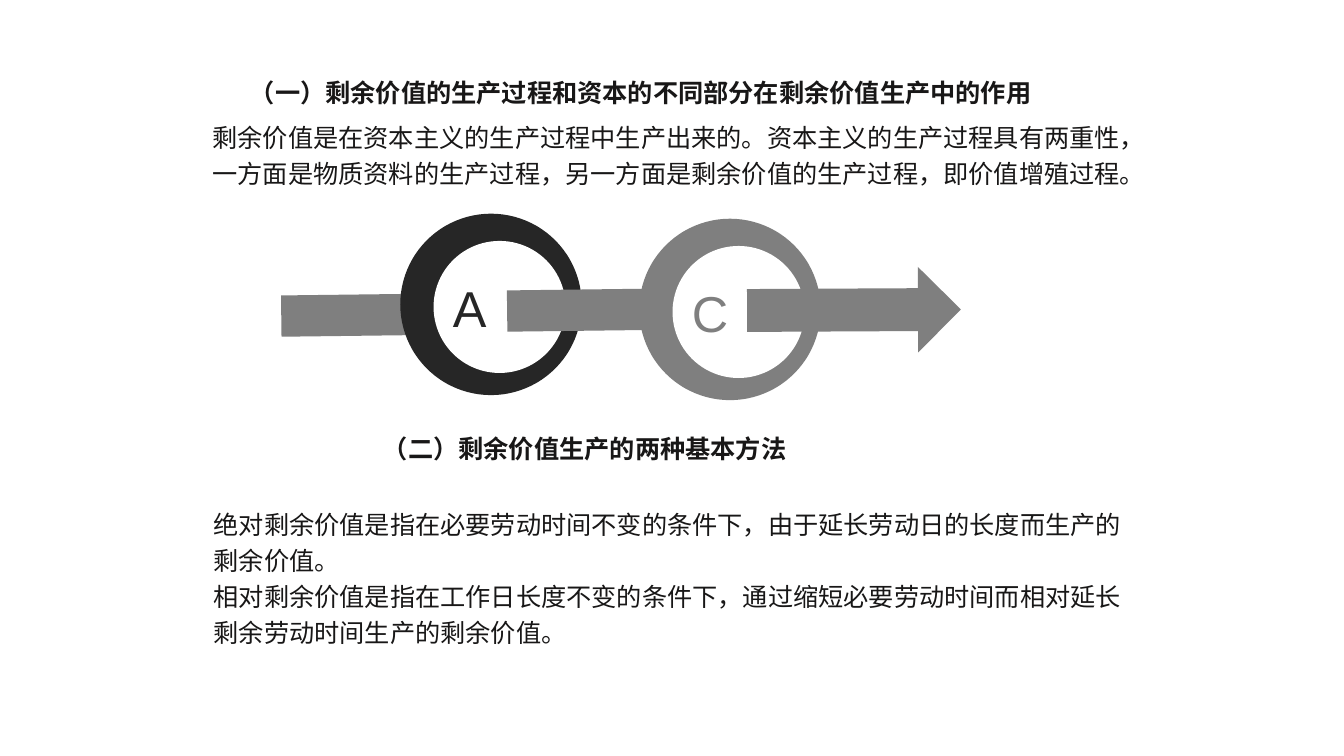
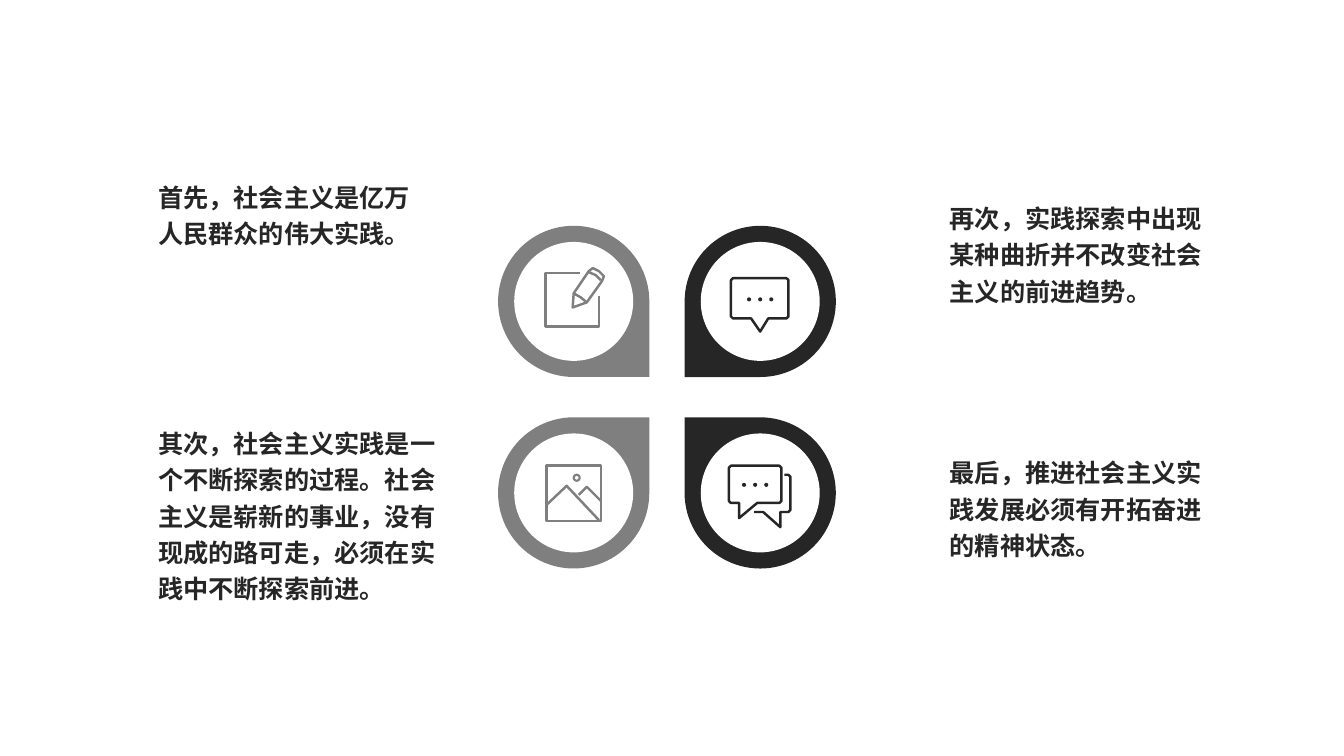
from lxml import etree
from pptx import Presentation
from pptx.dml.color import RGBColor
from pptx.enum.shapes import MSO_SHAPE
from pptx.enum.text import MSO_ANCHOR, PP_ALIGN
from pptx.oxml.ns import qn
from pptx.util import Inches, Pt

RECTANGLE, OVAL = MSO_SHAPE.RECTANGLE, MSO_SHAPE.OVAL
TEARDROP, RIGHT_ARROW = MSO_SHAPE.TEAR, MSO_SHAPE.RIGHT_ARROW
MIDDLE, LEFT = MSO_ANCHOR.MIDDLE, PP_ALIGN.LEFT

COLORS = {"gray": "7F7F7F", "dark": "262626", "ink": "181717", "white": "FFFFFF"}
CHINESE_FONT = "Noto Sans CJK SC"
LINE_SPACING = 1.2
BODY = {"size": Pt(18), "name": CHINESE_FONT, "bold": False}
HEADING = {**BODY, "bold": True}
POINT = {"size": Pt(18), "name": "Arial", "bold": True}
LETTER = {"size": Pt(36), "name": "Arial", "bold": False}

DROP_SIZE, DISC_SIZE = 1.5, 1.18
DROP_LEFTS, DROP_TOPS = (4.94, 6.79), (2.24, 4.14)
DOT_RADIUS, DOT_PITCH = 0.02, 0.11

# Icon strokes are (closed, points), in inches from the drop's top left corner.
PENCIL_STROKES = [
    (False, [(0.81, 0.47), (0.47, 0.47), (0.47, 1), (1, 1), (1, 0.7)]),
    (True, [(0.74, 0.81), (0.75, 0.67), (0.9, 0.45), (0.94, 0.42), (1, 0.45),
            (1.05, 0.5), (1.03, 0.55), (0.88, 0.76)]),
    (False, [(0.75, 0.67), (0.82, 0.71), (0.88, 0.76)]),
    (False, [(0.9, 0.46), (0.97, 0.49), (1.02, 0.54)]),
]
PICTURE_STROKES = [
    (True, [(0.48, 0.48), (1.02, 0.48), (1.02, 1.03), (0.48, 1.03)]),
    (False, [(0.48, 0.87), (0.68, 0.68), (1, 1.02)]),
    (False, [(0.8, 0.77), (0.88, 0.69), (1.02, 0.83)]),
]
BUBBLE_STROKES = [
    (True, [(0.48, 0.52), (1.01, 0.52), (1.03, 0.54), (1.03, 0.9), (1.01, 0.92),
            (0.83, 0.92), (0.75, 1.05), (0.66, 0.92), (0.48, 0.92),
            (0.46, 0.9), (0.46, 0.54)]),
]
CHAT_STROKES = [
    (True, [(0.46, 0.48), (0.94, 0.48), (0.96, 0.5), (0.96, 0.83), (0.94, 0.85),
            (0.72, 0.85), (0.54, 1), (0.54, 0.85), (0.46, 0.85),
            (0.44, 0.83), (0.44, 0.5)]),
    (False, [(0.99, 0.57), (1.03, 0.57), (1.05, 0.59), (1.05, 0.92), (1.03, 0.94),
             (0.95, 0.94), (0.95, 1.09), (0.78, 0.94), (0.69, 0.94)]),
]


def color(name):
    return RGBColor.from_string(COLORS[name])


def add_filled(slide, kind, left, top, width, height, fill, rotation=0):
    shape = slide.shapes.add_shape(
        kind, Inches(left), Inches(top), Inches(width), Inches(height))
    shape.shadow.inherit = False
    shape.fill.solid()
    shape.fill.fore_color.rgb = color(fill)
    shape.line.fill.background()
    shape.rotation = rotation
    return shape


def add_span(para, text, text_color, style):
    """Add a run whose Chinese characters use the Chinese font."""
    span = para.add_run()
    span.text = text
    for attribute, value in style.items():
        setattr(span.font, attribute, value)
    span.font.color.rgb = color(text_color)
    east_asian = etree.SubElement(span.font._element, qn("a:ea"))
    east_asian.set("typeface", CHINESE_FONT)


def add_text(slide, left, top, width, height, texts, text_color, style, spacing=LINE_SPACING):
    box = slide.shapes.add_textbox(
        Inches(left), Inches(top), Inches(width), Inches(height))
    frame = box.text_frame
    frame.word_wrap = True
    for index, text in enumerate(texts):
        para = frame.add_paragraph() if index else frame.paragraphs[0]
        para.line_spacing = spacing
        add_span(para, text, text_color, style)


def add_ring(slide, left, top, ring_color, letter):
    """Add a thick off-centre ring with a letter in its white opening."""
    add_filled(slide, OVAL, left, top, 1.8, 1.8, ring_color)
    opening = add_filled(slide, OVAL, left + 0.33, top + 0.27, 1.31, 1.31, "white")
    frame = opening.text_frame
    margins = {"margin_left": 0, "margin_top": 0,
               "margin_right": Inches(0.12), "margin_bottom": 0}
    for attribute, value in margins.items():
        setattr(frame, attribute, value)
    frame.vertical_anchor = MIDDLE
    para = frame.paragraphs[0]
    para.alignment = LEFT
    add_span(para, letter, ring_color, LETTER)


def add_stroke(slide, left, top, closed, points, line_color):
    corners = [(Inches(left + x), Inches(top + y)) for x, y in points]
    builder = slide.shapes.build_freeform(*corners[0])
    builder.add_line_segments(corners[1:], close=closed)
    stroke = builder.convert_to_shape()
    stroke.shadow.inherit = False
    stroke.fill.background()
    stroke.line.color.rgb = color(line_color)
    stroke.line.width = Pt(1.75)


def add_dot(slide, center_x, center_y, radius, fill):
    return add_filled(slide, OVAL, center_x - radius, center_y - radius,
                      2 * radius, 2 * radius, fill)


def add_drop(slide, left, top, drop_color, rotation, strokes):
    add_filled(slide, TEARDROP, left, top, DROP_SIZE, DROP_SIZE, drop_color, rotation)
    inset = (DROP_SIZE - DISC_SIZE) / 2
    add_filled(slide, OVAL, left + inset, top + inset, DISC_SIZE, DISC_SIZE, "white")
    for closed, points in strokes:
        add_stroke(slide, left, top, closed, points, drop_color)


def add_speech_dots(slide, center_x, center_y):
    for step in (-1, 0, 1):
        add_dot(slide, center_x + step * DOT_PITCH, center_y, DOT_RADIUS, "dark")


def build_surplus_value(slide):
    rings = [(2.79, 2.92, 3.97, 2.12, "dark", "A"),
             (5.03, 2.87, 6.34, 2.17, "gray", "C")]
    for bar_left, bar_top, ring_left, ring_top, ring_color, letter in rings:
        add_filled(slide, RECTANGLE, bar_left, bar_top, 1.8, 0.41, "gray", 359.3)
        add_ring(slide, ring_left, ring_top, ring_color, letter)
    add_filled(slide, RIGHT_ARROW, 7.41, 2.65, 2.12, 0.85, "gray", 359.7)

    add_text(slide, 2.01, 1.1, 9.23, 1.32, [
        "剩余价值是在资本主义的生产过程中生产出来的。资本主义的生产过程具有两重性，"
        "一方面是物质资料的生产过程，另一方面是剩余价值的生产过程，即价值增殖过程。",
    ], "ink", BODY)
    add_text(slide, 2.02, 4.94, 9.29, 1.63, [
        "绝对剩余价值是指在必要劳动时间不变的条件下，由于延长劳动日的长度而生产的剩余价值。",
        "相对剩余价值是指在工作日长度不变的条件下，通过缩短必要劳动时间而相对延长"
        "剩余劳动时间生产的剩余价值。",
    ], "ink", BODY)
    headings = [
        (2.38, 0.72, 9.06, "（一）剩余价值的生产过程和资本的不同部分在剩余价值生产中的作用"),
        (3.7, 4.25, 4.96, "（二）剩余价值生产的两种基本方法"),
    ]
    for left, top, width, text in headings:
        add_text(slide, left, top, width, 0.38, [text], "ink", HEADING, 1.0)


def build_socialist_practice(slide):
    left, right = DROP_LEFTS
    upper, lower = DROP_TOPS
    add_drop(slide, left, upper, "gray", 90, PENCIL_STROKES)
    add_drop(slide, right, upper, "dark", 180, BUBBLE_STROKES)
    add_drop(slide, left, lower, "gray", 0, PICTURE_STROKES)
    add_drop(slide, right, lower, "dark", 270, CHAT_STROKES)

    add_speech_dots(slide, right + 0.75, upper + 0.73)
    add_speech_dots(slide, right + 0.7, lower + 0.67)
    sun = add_dot(slide, left + 0.78, lower + 0.6, 0.03, "white")
    sun.line.color.rgb = color("gray")
    sun.line.width = Pt(1.5)

    points = [
        (1.47, 1.7, 2.77, "首先，社会主义是亿万人民群众的伟大实践。"),
        (1.47, 4.14, 3.03, "其次，社会主义实践是一个不断探索的过程。社会主义是崭新的事业，"
                           "没有现成的路可走，必须在实践中不断探索前进。"),
        (9.32, 1.91, 2.77, "再次，实践探索中出现某种曲折并不改变社会主义的前进趋势。"),
        (9.32, 4.43, 2.77, "最后，推进社会主义实践发展必须有开拓奋进的精神状态。"),
    ]
    for box_left, top, width, text in points:
        add_text(slide, box_left, top, width, 0.61, [text], "dark", POINT)


def main():
    deck = Presentation()
    deck.slide_width, deck.slide_height = Inches(13.33), Inches(7.5)
    blank = deck.slide_layouts[6]
    for build in (build_surplus_value, build_socialist_practice):
        build(deck.slides.add_slide(blank))
    deck.save("out.pptx")


if __name__ == "__main__":
    main()
